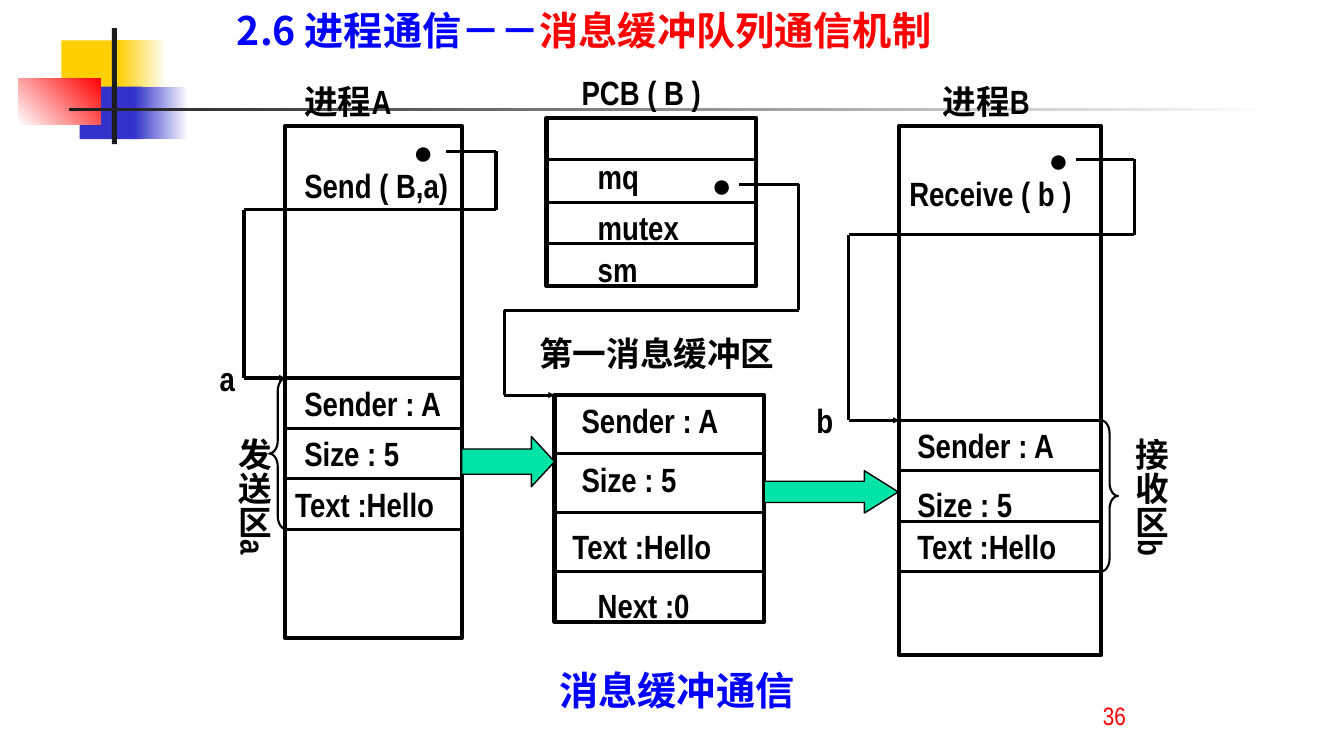
from lxml import etree
from pptx import Presentation
from pptx import util as u
from pptx.dml import color as dml
from pptx.enum import shapes, text
from pptx.oxml import ns

NARROW, HAN = "Arial Narrow", "Noto Sans CJK SC"
KIND = shapes.MSO_SHAPE


def hue(code):
    return dml.RGBColor.from_string(code)


def write(box, words, size=24, fill="000000", bold=True, font=NARROW, vertical=False):
    frame = box.text_frame
    frame.word_wrap = True
    if vertical:
        frame._txBody.bodyPr.set("vert", "eaVert")
    span = frame.paragraphs[0].add_run()
    span.text = words
    span.font.size = u.Pt(size)
    span.font.bold = bold
    span.font.name = font
    span.font.color.rgb = hue(fill)
    etree.SubElement(span.font._element, ns.qn("a:ea")).set("typeface", HAN)


deck = Presentation()
deck.slide_width, deck.slide_height = u.Inches(13.33), u.Inches(7.5)
page = deck.slides.add_slide(deck.slide_layouts[5])

title = page.shapes.title
title.left, title.top = u.Inches(2.25), u.Inches(0)
title.width, title.height = u.Inches(8.33), u.Inches(0.58)
title.text_frame.auto_size = text.MSO_AUTO_SIZE.NONE
title.text_frame.vertical_anchor = text.MSO_ANCHOR.BOTTOM
title.text_frame.paragraphs[0].alignment = text.PP_ALIGN.LEFT
write(title, "2.6 进程通信－－", size=28, fill="0000FF", font=HAN)
write(title, "消息缓冲队列通信机制", size=28, fill="FF0000", font=HAN)

ornaments = [
    (0.61, 0.4, 0.64, 0.52, ["FFCF01"], 0),
    (1.17, 0.4, 0.48, 0.52, ["FFCF01", "FFFFFF"], 0),
    (0.79, 0.86, 0.62, 0.52, ["3333CC"], 0),
    (1.33, 0.86, 0.54, 0.52, ["3333CC", "FFFFFF"], 0),
    (0.18, 0.78, 0.82, 0.46, ["FFFFFF", "FF0000"], 45),
    (1.11, 0.28, 0.05, 1.15, ["1C1C1C"], 0),
    (0.68, 1.07, 12, 0.03, ["1C1C1C", "FFFFFF"], 0),
]
for left, top, width, height, colours, angle in ornaments:
    block = page.shapes.add_shape(KIND.RECTANGLE, *map(u.Inches, (left, top, width, height)))
    block.shadow.inherit = False
    block.line.fill.background()
    if len(colours) == 1:
        block.fill.solid()
        block.fill.fore_color.rgb = hue(colours[0])
    else:
        block.fill.gradient()
        block.fill.gradient_angle = angle
        for stop, colour in zip(block.fill.gradient_stops, colours):
            stop.color.rgb = hue(colour)

figures = [
    ("process A", KIND.RECTANGLE, (2.83, 1.25, 1.75, 5.08), "FFFFFF", 3, []),
    ("PCB", KIND.RECTANGLE, (5.42, 1.17, 2.08, 1.67), "FFFFFF", 3, []),
    ("buffer", KIND.RECTANGLE, (5.5, 3.92, 2.08, 2.25), "FFFFFF", 3, []),
    ("process B", KIND.RECTANGLE, (8.92, 1.25, 2, 5.25), "FFFFFF", 3, []),
    ("receive brace", KIND.RIGHT_BRACE, (10.92, 4.17, 0.17, 1.5), None, 1.5, [0.75, 0.5]),
    ("send brace", KIND.LEFT_BRACE, (2.67, 3.75, 0.17, 1.5), None, 1.5, [0.75, 0.5]),
    ("send arrow", KIND.RIGHT_ARROW, (4.58, 4.33, 0.92, 0.5), "00E4A8", 1, [0.5, 0.46]),
    ("receive arrow", KIND.RIGHT_ARROW, (7.58, 4.67, 1.33, 0.42), "00E4A8", 1, [0.5, 0.8]),
]
drawn = {}
for name, kind, place, fill, weight, adjustments in figures:
    figure = page.shapes.add_shape(kind, *map(u.Inches, place))
    figure.shadow.inherit = False
    if fill:
        figure.fill.solid()
        figure.fill.fore_color.rgb = hue(fill)
    else:
        figure.fill.background()
    figure.line.color.rgb = hue("000000")
    figure.line.width = u.Pt(weight)
    for index, value in enumerate(adjustments):
        figure.adjustments[index] = value
    drawn[name] = (figure, place)

segments = []
for name, first, step, count in [
    ("process A", 3.75, 0.5, 4),
    ("PCB", 1.58, 0.42, 3),
    ("buffer", 4.5, 0.585, 3),
    ("process B", 4.17, 0.5, 4),
]:
    figure, (left, top, width, height) = drawn[name]
    for row in range(count):
        y = first + row * step
        middle = abs(y - top - height / 2) < 0.01
        segments.append(((left, y), (left + width, y), False, figure if middle else None))

wires = [
    [(4.42, 1.5), (4.92, 1.5), (4.92, 2.08), (2.42, 2.08), (2.42, 3.75), (2.83, 3.75)],
    [(7.33, 1.83), (7.92, 1.83), (7.92, 3.08), (5, 3.08), (5, 3.92), (5.5, 3.92)],
    [(10.67, 1.58), (11.25, 1.58), (11.25, 2.33), (8.42, 2.33), (8.42, 4.17), (8.92, 4.17)],
]
for wire in wires:
    for start, end in zip(wire, wire[1:]):
        segments.append((start, end, end == wire[-1], None))

for start, end, pointed, joined in segments:
    line = page.shapes.add_connector(shapes.MSO_CONNECTOR.STRAIGHT, *map(u.Inches, start + end))
    line.line.color.rgb = hue("000000")
    line.line.width = u.Pt(2.25)
    if pointed:
        head = etree.SubElement(line.line._get_or_add_ln(), ns.qn("a:tailEnd"))
        head.set("type", "triangle")
        head.set("w", "sm")
        head.set("len", "sm")
    etree.SubElement(line._element.spPr, ns.qn("a:effectLst"))
    if joined is not None:
        line.begin_connect(joined, 1)
        line.end_connect(joined, 3)

labels = [
    ("进程A", 2.92, 0.75, 1.58, 0.5, {}),
    ("PCB ( B )", 5.67, 0.66, 1.5, 0.5, {}),
    ("进程B", 9.25, 0.75, 1.92, 0.5, {}),
    ("Send ( B,a)", 2.92, 1.59, 1.67, 0.5, {}),
    ("Sender : A", 2.92, 3.75, 1.92, 0.5, {}),
    ("Size : 5", 2.92, 4.25, 1.92, 0.5, {}),
    ("Text :Hello", 2.83, 4.75, 2, 0.5, {}),
    ("mq", 5.83, 1.5, 1.5, 0.5, {}),
    ("mutex", 5.83, 2, 1.92, 0.5, {}),
    ("sm", 5.83, 2.42, 1.5, 0.5, {}),
    ("第一消息缓冲区", 5.25, 3.25, 2.92, 0.5, {}),
    ("Sender : A", 5.67, 3.92, 1.83, 0.5, {}),
    ("Size : 5", 5.67, 4.5, 1.92, 0.5, {}),
    ("Text :Hello", 5.58, 5.17, 2, 0.5, {}),
    ("Next :0", 5.83, 5.75, 2.17, 0.5, {}),
    ("Receive ( b )", 8.92, 1.67, 2.42, 0.5, {}),
    ("Sender : A", 9, 4.17, 1.92, 0.5, {}),
    ("Size : 5", 9, 4.75, 1.75, 0.5, {}),
    ("Text :Hello", 9, 5.17, 2, 0.5, {}),
    ("a", 2.08, 3.5, 0.33, 0.5, {}),
    ("b", 8, 3.92, 0.5, 0.5, {}),
    ("发送区a", 2.16, 4.25, 0.61, 2, {"vertical": True}),
    ("接收区b", 11.06, 4.25, 0.61, 2.17, {"vertical": True}),
    ("●", 4, 1.25, 0.33, 0.5, {}),
    ("●", 6.96, 1.58, 0.37, 0.5, {}),
    ("●", 10.3, 1.33, 0.54, 0.5, {}),
    ("消息缓冲通信", 5.45, 6.56, 3.01, 0.57, {"size": 28, "fill": "0000FF"}),
    ("36", 10.84, 6.9, 0.63, 0.39, {"size": 18, "fill": "FF0000", "bold": False}),
]
for words, left, top, width, height, look in labels:
    box = page.shapes.add_textbox(*map(u.Inches, (left, top, width, height)))
    write(box, words, **look)

deck.save("out.pptx")
